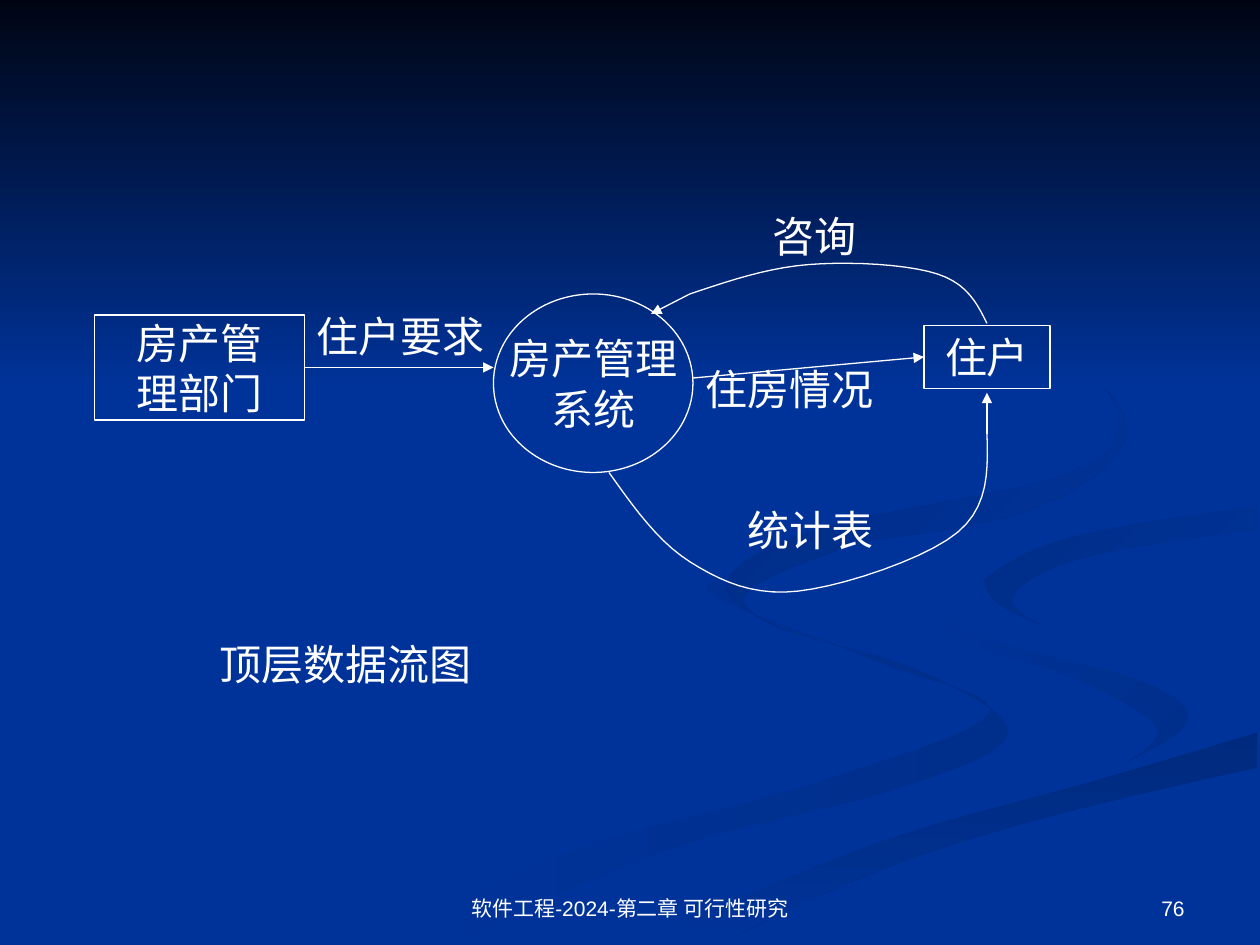
import pptx
import pptx.util
import pptx.dml.color
import pptx.enum.shapes
import pptx.enum.text
import lxml.etree

COLORS = {"navy": "003399", "night": "000514", "white": "FFFFFF",
          "shade1": "002E8B", "shade2": "002A7D", "shade3": "002D86", "shade4": "002B82"}
RGB = {name: pptx.dml.color.RGBColor.from_string(value) for name, value in COLORS.items()}
ALIGN = pptx.enum.text.PP_ALIGN
ANCHOR = pptx.enum.text.MSO_ANCHOR
SHAPE = pptx.enum.shapes.MSO_SHAPE
STEPS = 10

deck = pptx.Presentation()
deck.slide_width, deck.slide_height = pptx.util.Inches(10), pptx.util.Inches(7.5)
CELL = deck.slide_width / 120
slide = deck.slides.add_slide(deck.slide_layouts[6])
slide.background.fill.solid()
slide.background.fill.fore_color.rgb = RGB["navy"]


def smooth(knots):
    before, after = [tuple(2.5 * a - 2 * b + c / 2 for a, b, c in zip(*three))
                     for three in (knots[:3], knots[:-4:-1])]
    padded = [before, *knots, after]
    trace = [knots[0]]
    for p, q, r, s in zip(padded, padded[1:], padded[2:], padded[3:]):
        for t in (step / STEPS for step in range(1, STEPS + 1)):
            trace.append(tuple(
                b + t * (c - a) / 2 + t * t * (a - 2.5 * b + 2 * c - d / 2)
                + t ** 3 * (1.5 * (b - c) + (d - a) / 2)
                for a, b, c, d in zip(p, q, r, s)))
    return trace


def outline(points, unit, close):
    points = [(x * unit, y * unit) for x, y in points]
    builder = slide.shapes.build_freeform(*points[0], scale=1)
    builder.add_line_segments(points[1:], close=close)
    drawn = builder.convert_to_shape()
    drawn.shadow.inherit = False
    return drawn


ribbons = [
    ("navy", "shade1", 0, [
        [(575, 459), (572, 476), (697, 525), (785, 566), (652, 620), (458, 674), (300, 749)],
        [(361, 749), (532, 674), (721, 623), (800, 581), (731, 533), (614, 496), (575, 459)]]),
    ("navy", "shade1", 45, [
        [(724, 464), (775, 503), (905, 540), (943, 570), (894, 605)],
        [(894, 605), (917, 576), (854, 539), (755, 505), (724, 464)]]),
    ("shade2", "navy", 90, [
        [(503, 749), (571, 749)],
        [(571, 749), (695, 692), (821, 651), (998, 609)],
        [(998, 581), (867, 620), (696, 669), (503, 749)]]),
    ("navy", "navy", 0, [
        [(725, 464), (775, 503), (905, 540), (943, 570), (902, 603), (743, 643), (477, 749)],
        [(503, 749), (696, 669), (867, 620), (999, 581)],
        [(999, 538), (848, 503), (781, 463), (865, 424), (999, 402)],
        [(999, 387), (808, 417), (725, 464)]]),
    ("shade3", "navy", 45, [
        [(781, 460), (791, 478), (826, 496)],
        [(826, 496), (805, 472), (859, 443), (998, 420)],
        [(998, 402), (849, 427), (781, 460)]]),
    ("shade4", "navy", 45, [
        [(683, 430), (825, 402), (894, 344), (843, 275), (762, 233)],
        [(762, 233), (846, 279), (889, 335), (842, 378), (649, 420), (577, 462), (622, 500)],
        [(622, 500), (593, 470), (683, 430)]]),
    ("night", "navy", 90, [[(0, 0), (0, 308)], [(1000, 308), (1000, 0)]]),
]
for first, last, angle, edges in ribbons:
    border = [point for edge in edges for point in (smooth(edge) if len(edge) > 2 else edge)]
    ribbon = outline(border, deck.slide_width / 1000, True)
    ribbon.line.fill.background()
    ribbon.fill.gradient()
    ribbon.fill.gradient_angle = -angle % 360
    for stop, color in zip(ribbon.fill.gradient_stops, (first, last)):
        stop.color.rgb = RGB[color]

nodes = []
texts = []
for kind, column, row, columns, rows, lines in [
    (SHAPE.RECTANGLE, 9, 30, 20, 10, "房产管\n理部门"),
    (SHAPE.RECTANGLE, 88, 31, 12, 6, "住户"),
    (SHAPE.OVAL, 47, 28, 19, 17, "房产管理\n系统"),
]:
    node = slide.shapes.add_shape(kind, *(int(n * CELL) for n in (column, row, columns, rows)))
    node.shadow.inherit = False
    node.fill.background()
    nodes.append(node)
    texts.append((node, lines, 24, "Times New Roman", ALIGN.CENTER, ANCHOR.MIDDLE, False))
department, tenant, system = nodes

flows = []
for knots in [
    [(58, 45), (65.7, 53.5), (76, 56.3), (91.2, 50.7), (94, 41.3)],
    [(94, 30.8), (89.3, 26.1), (77, 25.2), (65.7, 28)],
]:
    flow = outline(smooth(knots), CELL, False)
    flow.fill.background()
    flows.append(flow)

for ends, source, target in [
    ((29, 35, 47, 35), department, None),
    ((66, 36, 88, 34), None, tenant),
    ((94, 41.3, 94, 37.4), None, None),
    ((65.7, 28, 62, 29.9), None, None),
]:
    arrow = slide.shapes.add_connector(pptx.enum.shapes.MSO_CONNECTOR.STRAIGHT,
                                       *(int(n * CELL) for n in ends))
    if source:
        arrow.begin_connect(source, 3)
    if target:
        arrow.end_connect(target, 1)
    flows.append(arrow)

for stroke in nodes + flows:
    stroke.line.color.rgb = RGB["white"]
    stroke.line.width = pptx.util.Pt(0.75)
for arrow in flows[2:]:
    head = lxml.etree.SubElement(arrow.line._get_or_add_ln(), pptx.oxml.ns.qn("a:tailEnd"))
    head.set("type", "triangle")
    lxml.etree.SubElement(arrow._element.spPr, pptx.oxml.ns.qn("a:effectLst"))

TIMES = (24, "Times New Roman", ALIGN.LEFT, ANCHOR.TOP, False)
for text, column, row, columns, rows, style in [
    ("住户要求", 29, 29, 18.4, 6, TIMES),
    ("咨询", 72.4, 19.5, 10.4, 6, TIMES),
    ("住房情况", 66, 34, 18.4, 6, TIMES),
    ("统计表", 70, 47.5, 14.4, 6, TIMES),
    ("顶层数据流图", 19.7, 60.25, 26.4, 6, TIMES),
    ("软件工程-2024-第二章 可行性研究", 41, 82, 38, 6.25,
     (12, "Arial", ALIGN.CENTER, ANCHOR.BOTTOM, True)),
    ("76", 86, 82, 28, 6.25, (12, "Arial", ALIGN.RIGHT, ANCHOR.BOTTOM, True)),
]:
    label = slide.shapes.add_textbox(*(int(n * CELL) for n in (column, row, columns, rows)))
    texts.append((label, text, *style))

for holder, text, size, font, align, anchor, wrap in texts:
    frame = holder.text_frame
    frame.word_wrap = wrap
    frame.vertical_anchor = anchor
    frame.text = text
    for paragraph in frame.paragraphs:
        paragraph.alignment = align
        paragraph.font.size = pptx.util.Pt(size)
        paragraph.font.name = font
        paragraph.font.color.rgb = RGB["white"]

deck.save("out.pptx")
